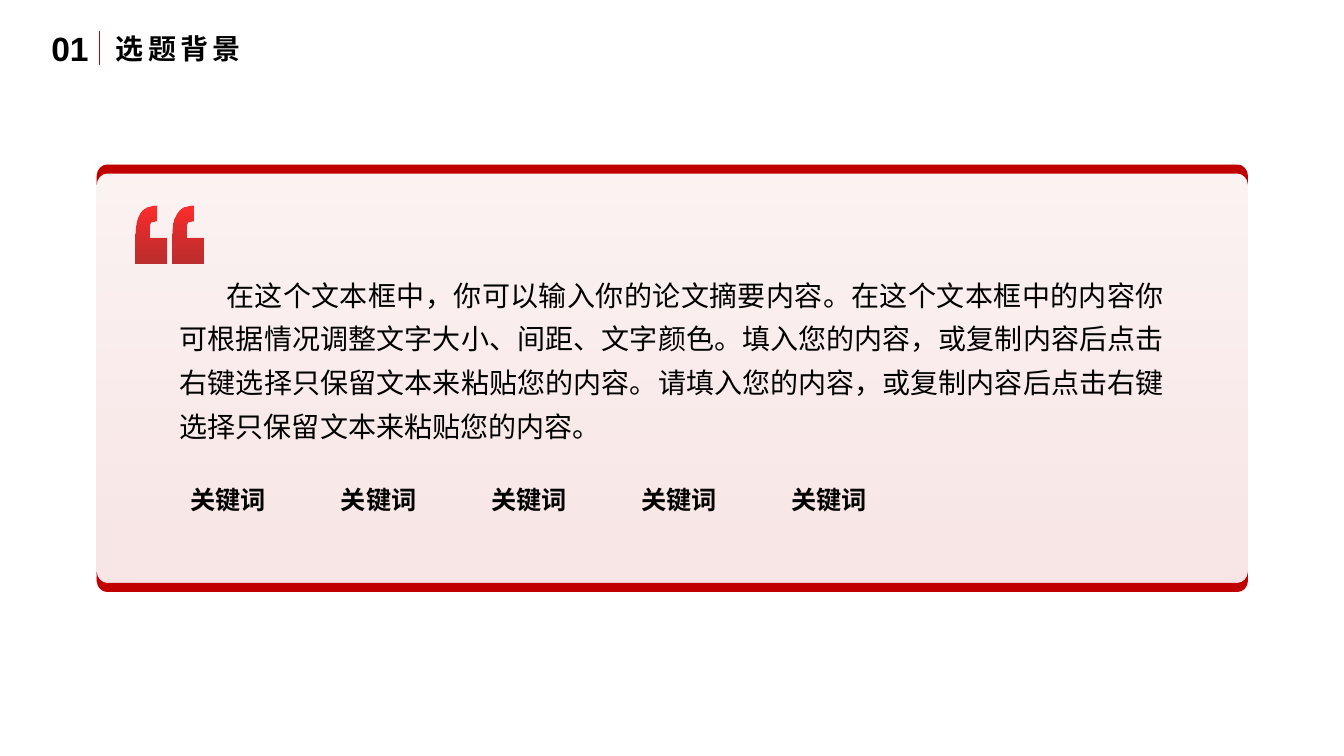
from lxml import etree
from pptx import Presentation
from pptx import util as u
from pptx.dml.color import RGBColor
from pptx.enum import shapes, text
from pptx.oxml.ns import qn

RED = RGBColor(0xC0, 0x00, 0x00)
BRIGHT_RED = RGBColor(0xFF, 0x2D, 0x2D)
DEEP_RED = RGBColor(0xAD, 0x00, 0x00)
BLACK = RGBColor(0, 0, 0)

HAN_FONT = "Noto Sans CJK SC"
WIDTH, HEIGHT = u.Inches(13.33), u.Inches(7.5)

# Card position in hundredths of the slide
CARD = (7.2, 21.77, 85.65, 56.53)
BAND_HEIGHT = 0.2

SUMMARY = (
    "在这个文本框中，你可以输入你的论文摘要内容。在这个文本框中的内容你可根据情况调整"
    "文字大小、间距、文字颜色。填入您的内容，或复制内容后点击右键选择只保留文本来粘贴"
    "您的内容。请填入您的内容，或复制内容后点击右键选择只保留文本来粘贴您的内容。"
)
KEYWORDS = ["关键词"] * 5
KEYWORD_STEP = 1.49

# One quotation mark in inches: points, and curves of three point pairs
QUOTE_MARK = [
    (0.21, 0), (0.21, 0.16), (0.14, 0.16, 0.14, 0.17, 0.14, 0.26),
    (0.14, 0.31), (0.31, 0.31), (0.31, 0.57), (0, 0.57), (0, 0.31),
    (0, 0.11, 0.05, 0, 0.21, 0),
]
QUOTE_GAP = 0.36


def place(left, top, width, height):
    """Turn hundredths of the slide into lengths."""
    return [round(share * side / 100) for share, side in
            zip((left, top, width, height), (WIDTH, HEIGHT) * 2)]


def finish(shape):
    shape.shadow.inherit = False
    shape.line.fill.background()


def fill_gradient(shape, *stops):
    """Fill from top to bottom with (colour, opacity in percent) stops."""
    shape.fill.gradient()
    shape.fill.gradient_angle = 270
    for stop, (color, _) in zip(shape.fill.gradient_stops, stops):
        stop.color.rgb = color
    colors = shape.element.spPr.iter(qn("a:srgbClr"))
    for color, (_, opacity) in zip(colors, stops):
        etree.SubElement(color, qn("a:alpha"), val=str(opacity * 1000))


def add_outline(page, left, top, steps, shifts=(0,)):
    """Draw one closed contour per sideways shift, in inches from a corner."""
    builder = None
    for shift in shifts:
        points = [(left + u.Inches(step[i] + shift), top + u.Inches(step[i + 1]))
                  for step in steps for i in range(0, len(step), 2)]
        if builder is None:
            builder = page.shapes.build_freeform(*points[0])
        else:
            builder.move_to(*points[0])
        builder.add_line_segments(points[1:], close=True)
    shape = builder.convert_to_shape()
    finish(shape)

    # Join the three points of each curve into one Bezier segment
    segments = iter(list(next(shape.element.iter(qn("a:pathLst")))[0]))
    for _ in shifts:
        for step in steps:
            first = next(segments)
            if len(step) == 6:
                first.tag = qn("a:cubicBezTo")
                for _ in range(2):
                    extra = next(segments)
                    first.append(extra[0])
                    extra.getparent().remove(extra)
        next(segments)  # the closing segment
    return shape


def add_text(page, area, words, size, font=HAN_FONT, bold=False, wrap=False,
             spacing=None, indent=0, tracking=0, tabs=()):
    box = page.shapes.add_textbox(*place(*area))
    box.text_frame.word_wrap = wrap
    para = box.text_frame.paragraphs[0]
    para.text = words
    if wrap:
        para.alignment = text.PP_ALIGN.JUSTIFY
    if spacing:
        para.line_spacing = spacing
    props = para._p.get_or_add_pPr()
    if indent:
        props.set("marL", "0")
        props.set("indent", str(u.Inches(indent)))
    if tabs:
        tab_list = etree.SubElement(props, qn("a:tabLst"))
        for stop in tabs:
            etree.SubElement(tab_list, qn("a:tab"), pos=str(u.Inches(stop)), algn="l")
    para.font.size = u.Pt(size)
    para.font.bold = bold
    para.font.color.rgb = BLACK
    para.font.name = font
    defaults = props.find(qn("a:defRPr"))
    etree.SubElement(defaults, qn("a:ea"), typeface=font)
    if tracking:
        defaults.set("spc", str(tracking * 100))


def add_divider(page, x, top, bottom):
    left, start, _, end = place(x, top, x, bottom)
    line = page.shapes.add_connector(shapes.MSO_CONNECTOR.STRAIGHT, left, start, left, end)
    line.line.color.rgb = RED
    line.line.width = u.Pt(0.5)
    etree.SubElement(line.element.spPr, qn("a:effectLst"))


def add_card(page):
    left, top, width, height = place(*CARD)
    card = page.shapes.add_shape(shapes.MSO_SHAPE.ROUNDED_RECTANGLE, left, top, width, height)
    card.adjustments[0] = 0.025
    finish(card)
    fill_gradient(card, (RED, 5), (RED, 11))

    # Curved band on the top edge, turned round for the bottom edge
    w = u.Emu(width).inches
    band = [
        (0.1, 0), (w - 0.1, 0), (w - 0.05, 0, w, 0.05, w, 0.11),
        (w, BAND_HEIGHT), (w, 0.14, w - 0.05, 0.09, w - 0.1, 0.09),
        (0.1, 0.09), (0.05, 0.09, 0, 0.14, 0, BAND_HEIGHT),
        (0, 0.11), (0, 0.05, 0.05, 0, 0.1, 0),
    ]
    bottom = top + height - u.Inches(BAND_HEIGHT)
    for edge_top, turn in ((top, 0), (bottom, 180)):
        edge = add_outline(page, left, edge_top, band)
        edge.rotation = turn
        edge.fill.solid()
        edge.fill.fore_color.rgb = RED


def add_quote(page, x, y):
    left, top, _, _ = place(x, y, 0, 0)
    quote = add_outline(page, left, top, QUOTE_MARK, shifts=(QUOTE_GAP, 0))
    fill_gradient(quote, (BRIGHT_RED, 100), (DEEP_RED, 80))


def main():
    deck = Presentation()
    deck.slide_width, deck.slide_height = WIDTH, HEIGHT
    page = deck.slides.add_slide(deck.slide_layouts[6])

    # Heading
    add_text(page, (3.08, 3, 4.35, 6.67), "01", 24, font="Arial", bold=True)
    add_divider(page, 7.43, 4.1, 8.6)
    add_text(page, (7.88, 3.47, 11.18, 5.87), "选题背景", 20, bold=True, tracking=3)

    # Summary card
    add_card(page)
    add_quote(page, 10.08, 27.2)
    add_text(page, (12.64, 34.8, 74.7, 24.13), SUMMARY, 20, wrap=True,
             spacing=1.3, indent=0.46)
    add_text(page, (13.44, 62.25, 59.93, 6.13), "\t".join(KEYWORDS), 18, bold=True,
             wrap=True, spacing=1.3,
             tabs=[KEYWORD_STEP * i for i in range(1, len(KEYWORDS))])

    deck.save("out.pptx")


if __name__ == "__main__":
    main()
